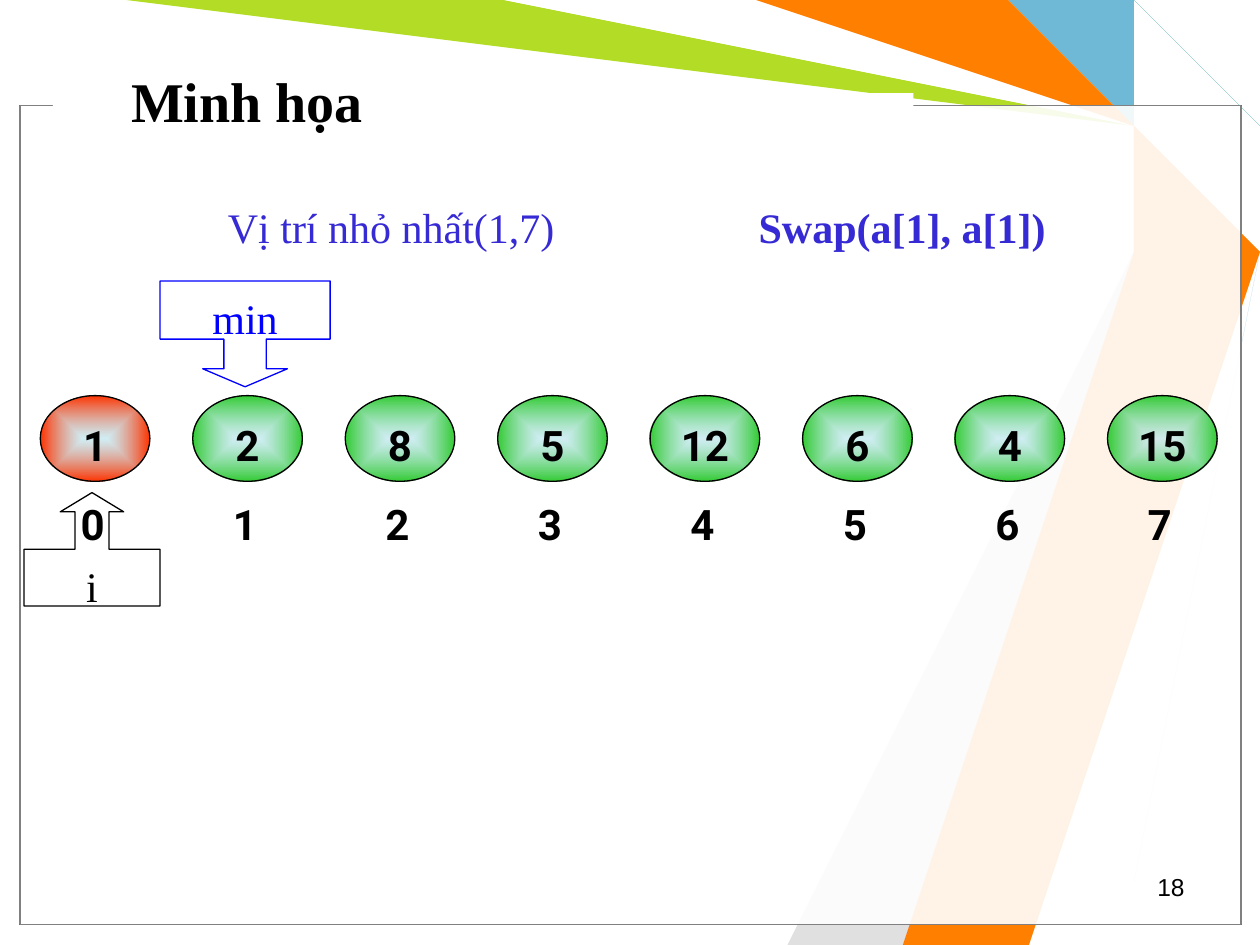
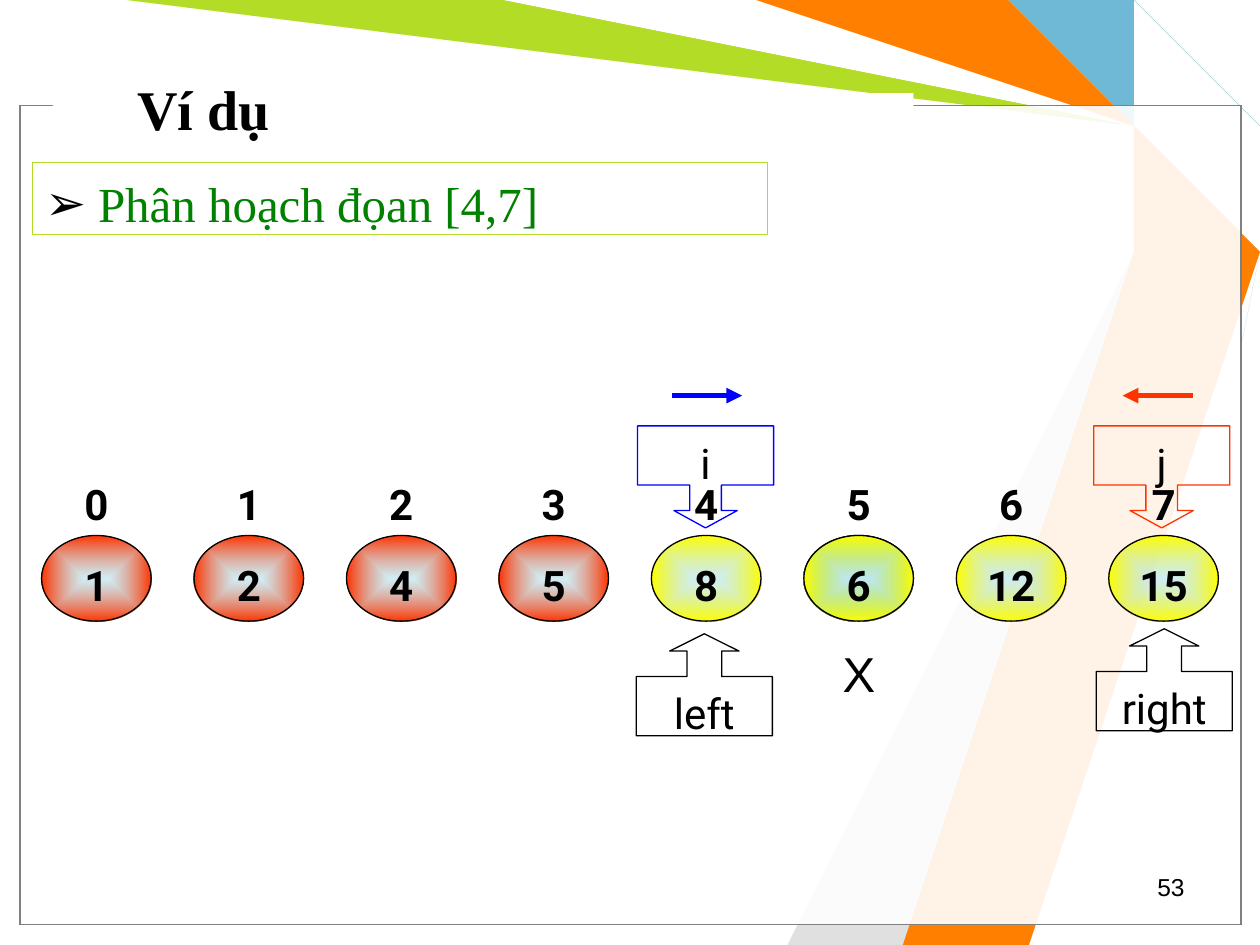
from dataclasses import dataclass
from typing import NamedTuple, Optional

from pptx import Presentation
from pptx.dml.color import RGBColor
from pptx.enum.shapes import MSO_CONNECTOR, MSO_SHAPE
from pptx.enum.text import MSO_ANCHOR, PP_ALIGN
from pptx.oxml import parse_xml
from pptx.oxml.ns import nsdecls, qn
from pptx.util import Emu, Inches, Pt

COLS, ROWS = 10, 7.5
SLIDE_W, SLIDE_H = Inches(10), Inches(7.5)
COL, ROW = SLIDE_W / COLS, SLIDE_H / ROWS

HEX = {
    "black": "000000", "white": "FFFFFF", "grey": "808080", "silver": "E0E0E0",
    "sky": "6FB9D7", "ice": "B4E3EE", "teal": "189180", "lime": "B3DC27",
    "orange": "FF7F00", "scarlet": "F93D17", "green": "33CC33", "red": "FF3300",
    "yellow": "FFFF00", "blue": "0000FF", "indigo": "362AD4", "forest": "008200",
}

SERIF = {"name": "Times New Roman", "size": Pt(24), "bold": False}
SERIF_BOLD = SERIF | {"bold": True}
SANS = {"name": "Roboto", "size": Pt(24), "bold": False}
SANS_BOLD = SANS | {"bold": True}
TITLE = SERIF_BOLD | {"size": Pt(32)}
BULLET = SERIF | {"size": Pt(28)}
PIVOT = {"name": "Arial", "size": Pt(28), "bold": False}
PAGE = PIVOT | {"size": Pt(14)}

PITCH = 1.21
TOP_INSET = 0.09


class Box(NamedTuple):
    x: float
    y: float
    w: float
    h: float

    def emu(self) -> tuple:
        return (Emu(round(self.x * COL)), Emu(round(self.y * ROW)),
                Emu(round(self.w * COL)), Emu(round(self.h * ROW)))


class Band(NamedTuple):
    color: str
    points: list


@dataclass
class Callout:
    kind: MSO_SHAPE
    box: Box
    adjust: tuple
    text: str
    font: dict
    line: str = "black"
    color: str = "black"


@dataclass
class Arrow:
    x1: float
    x2: float
    y: float
    color: str


@dataclass
class Array:
    values: list
    fills: list
    x: float
    y: float
    index_x: float
    index_y: float


BANDS = [
    Band("sky", [(8.92, 0), (9.29, 0.77), (9.58, 1.67), (9.11, 7.49), (8.56, 7.49),
                 (9.5, 1.67), (9.17, 0.75), (8.38, 0)]),
    Band("lime", [(1.17, 0), (3.83, 0), (9.14, 0.78), (9.42, 1.69), (7.42, 7.5),
                  (6.92, 7.5), (9.35, 1.73), (9.01, 0.91)]),
    Band("silver", [(6.67, 7.5), (9.27, 1.81), (6, 7.5)]),
    Band("white", [(3.75, 0), (9.1, 0.82), (9.32, 1.62), (6.75, 7.5), (7, 7.5),
                   (9.41, 1.58), (9.17, 0.75), (6, 0)]),
    Band("ice", [(9.25, 0), (9.17, 0.17), (9.78, 1.2), (10, 1.25), (10, 1),
                 (9.25, 0.17), (9.32, 0)]),
    Band("teal", [(10, 0.83), (9.42, 0.25), (10, 0.67)]),
    Band("orange", [(6.08, 0), (7.92, 0), (9.3, 0.7), (9.66, 1.69), (8.33, 7.5),
                    (7.33, 7.5), (9.42, 1.58), (9.17, 0.75)]),
    Band("scarlet", [(7.32, 7.5), (9.32, 1.83), (7.49, 7.5)]),
]


def rgb(color: str) -> RGBColor:
    return RGBColor.from_string(HEX[color])


def write(shape, text: str, font: dict, color: str = "black", align=PP_ALIGN.CENTER,
          top: float = TOP_INSET, anchor=MSO_ANCHOR.TOP, bullet: Optional[str] = None) -> None:
    tf = shape.text_frame
    side = Inches(0 if align == PP_ALIGN.CENTER else 0.1)
    frame = {"word_wrap": True, "vertical_anchor": anchor, "margin_left": side,
             "margin_right": side, "margin_top": Inches(top), "margin_bottom": Inches(0)}
    for name, value in frame.items():
        setattr(tf, name, value)
    p = tf.paragraphs[0]
    p.alignment = align
    if bullet:
        pPr = p._p.get_or_add_pPr()
        pPr.set("marL", str(Inches(0.42)))
        pPr.set("indent", str(-Inches(0.42)))
        pPr.append(parse_xml(f'<a:buClr {nsdecls("a")}><a:srgbClr val="{HEX["black"]}"/></a:buClr>'))
        pPr.append(parse_xml(f'<a:buFont {nsdecls("a")} typeface="Arial"/>'))
        pPr.append(parse_xml(f'<a:buChar {nsdecls("a")} char="{bullet}"/>'))
    r = p.add_run()
    r.text = text
    for name, value in font.items():
        setattr(r.font, name, value)
    r.font.color.rgb = rgb(color)


def paint(shape, fill: Optional[str], line: Optional[str]) -> None:
    shape.shadow.inherit = False
    if fill:
        shape.fill.solid()
        shape.fill.fore_color.rgb = rgb(fill)
    else:
        shape.fill.background()
    if line:
        shape.line.color.rgb = rgb(line)
        shape.line.width = Pt(0.75)
    else:
        shape.line.fill.background()


def add_shape(s, kind: MSO_SHAPE, box: Box, fill: Optional[str] = None,
              line: Optional[str] = None):
    shape = s.shapes.add_shape(kind, *box.emu())
    paint(shape, fill, line)
    return shape


def add_text(s, box: Box, text: str, font: dict, **style) -> None:
    write(s.shapes.add_textbox(*box.emu()), text, font, **style)


def add_backdrop(s) -> None:
    for band in BANDS:
        builder = s.shapes.build_freeform(*band.points[0], scale=(COL, ROW))
        builder.add_line_segments(band.points[1:], close=True)
        paint(builder.convert_to_shape(), band.color, None)
    for line in ("black", "grey"):
        panel = add_shape(s, MSO_SHAPE.RECTANGLE, Box(0.16, 0.84, 9.69, 6.5), "white", line)
        color = panel._element.spPr.find(qn("a:solidFill"))[0]
        color.append(parse_xml(f'<a:alpha {nsdecls("a")} val="69000"/>'))
    add_shape(s, MSO_SHAPE.RECTANGLE, Box(0.42, 0.74, 6.83, 0.17), "white")


def new_slide(prs, title: str, box: Box, page: str):
    s = prs.slides.add_slide(prs.slide_layouts[5])
    add_backdrop(s)
    ph = s.shapes.title
    s.shapes._spTree.append(ph._element)
    ph.left, ph.top, ph.width, ph.height = box.emu()
    write(ph, title, TITLE, align=PP_ALIGN.LEFT, top=0, anchor=MSO_ANCHOR.MIDDLE)
    add_text(s, Box(7.17, 6.87, 2.33, 0.33), page, PAGE, align=PP_ALIGN.RIGHT, top=0.05)
    return s


def add_ball(s, x: float, y: float, color: str):
    ball = add_shape(s, MSO_SHAPE.OVAL, Box(x, y, 0.87, 0.68), line="black")
    spPr = ball._element.spPr
    spPr.replace(spPr.find(qn("a:noFill")), parse_xml(
        f'<a:gradFill {nsdecls("a")} rotWithShape="1"><a:gsLst>'
        f'<a:gs pos="0"><a:srgbClr val="{HEX["ice"]}"><a:alpha val="60000"/></a:srgbClr></a:gs>'
        f'<a:gs pos="100000"><a:srgbClr val="{HEX[color]}"/></a:gs></a:gsLst>'
        '<a:path path="shape"><a:fillToRect l="50000" t="50000" r="50000" b="50000"/></a:path>'
        '</a:gradFill>'))
    return ball


def add_array(s, array: Array) -> None:
    for i, (value, color) in enumerate(zip(array.values, array.fills)):
        shift = i * PITCH
        write(add_ball(s, array.x + shift, array.y, color), str(value), SANS_BOLD)
        index = add_shape(s, MSO_SHAPE.OVAL,
                          Box(array.index_x + shift, array.index_y, 0.87, 0.66))
        write(index, str(i), SANS_BOLD)


def add_callout(s, callout: Callout) -> None:
    shape = add_shape(s, callout.kind, callout.box, line=callout.line)
    for i, value in enumerate(callout.adjust):
        shape.adjustments[i] = value
    write(shape, callout.text, callout.font, callout.color)


def add_arrow(s, arrow: Arrow) -> None:
    y = round(arrow.y * ROW)
    cxn = s.shapes.add_connector(MSO_CONNECTOR.STRAIGHT, round(arrow.x1 * COL), y,
                                 round(arrow.x2 * COL), y)
    cxn.line.color.rgb = rgb(arrow.color)
    cxn.line.width = Pt(3)
    spPr = cxn._element.spPr
    spPr.find(qn("a:ln")).append(parse_xml(f'<a:tailEnd {nsdecls("a")} type="triangle"/>'))
    spPr.append(parse_xml(f'<a:effectLst {nsdecls("a")}/>'))


def selection_slide(prs) -> None:
    s = new_slide(prs, "Minh họa", Box(0.94, 0.17, 6.89, 1.25), "18")
    add_array(s, Array([1, 2, 8, 5, 12, 6, 4, 15], ["red"] + ["green"] * 7,
                       0.32, 3.14, 0.3, 3.77))
    for callout in (
        Callout(MSO_SHAPE.UP_ARROW_CALLOUT, Box(0.19, 3.91, 1.08, 0.9),
                (0.3, 0.28, 0.17, 0.5), "i", SERIF),
        Callout(MSO_SHAPE.DOWN_ARROW_CALLOUT, Box(1.27, 2.23, 1.35, 0.84),
                (0.4, 0.4, 0.17, 0.55), "min", SERIF, "blue", "blue"),
    ):
        add_callout(s, callout)
    for box, step, font in (
        (Box(1.39, 1.51, 3.43, 0.5), "Vị trí nhỏ nhất(1,7)", SERIF),
        (Box(5.39, 1.51, 3.54, 0.5), "Swap(a[1], a[1])", SERIF_BOLD),
    ):
        write(add_shape(s, MSO_SHAPE.RECTANGLE, box, "white"), step, font, "indigo")


def partition_slide(prs) -> None:
    s = new_slide(prs, "Ví dụ", Box(0.99, 0.47, 6.89, 0.78), "53")
    array = Array([1, 2, 4, 5, 8, 6, 12, 15], ["red"] * 4 + ["yellow"] * 4,
                  0.33, 4.25, 0.33, 3.61)
    pivot = array.values.index(6)
    add_ball(s, array.x + pivot * PITCH, array.y, "green")
    add_array(s, array)
    for text, x, y in (("left", 5.05, 5.03), ("right", 8.7, 4.99)):
        add_callout(s, Callout(MSO_SHAPE.UP_ARROW_CALLOUT, Box(x, y, 1.08, 0.81),
                               (0.34, 0.34, 0.17, 0.58), text, SANS))
    for text, x, color, arrow_from, arrow_to in (
        ("i", 5.06, "blue", 5.33, 5.89),
        ("j", 8.68, "red", 9.47, 8.91),
    ):
        add_callout(s, Callout(MSO_SHAPE.DOWN_ARROW_CALLOUT, Box(x, 3.38, 1.08, 0.81),
                               (0.31, 0.31, 0.17, 0.58), text, SANS, color))
        add_arrow(s, Arrow(arrow_from, arrow_to, 3.14, color))
    task = add_shape(s, MSO_SHAPE.RECTANGLE, Box(0.26, 1.29, 5.83, 0.57), line="lime")
    write(task, "Phân hoạch đọan [4,7]", BULLET, "forest", PP_ALIGN.LEFT, bullet="➢")
    add_text(s, Box(6.59, 5.02, 0.47, 0.57), "X", PIVOT, align=PP_ALIGN.LEFT)


def main() -> None:
    prs = Presentation()
    prs.slide_width, prs.slide_height = SLIDE_W, SLIDE_H
    selection_slide(prs)
    partition_slide(prs)
    prs.save("out.pptx")


if __name__ == "__main__":
    main()
